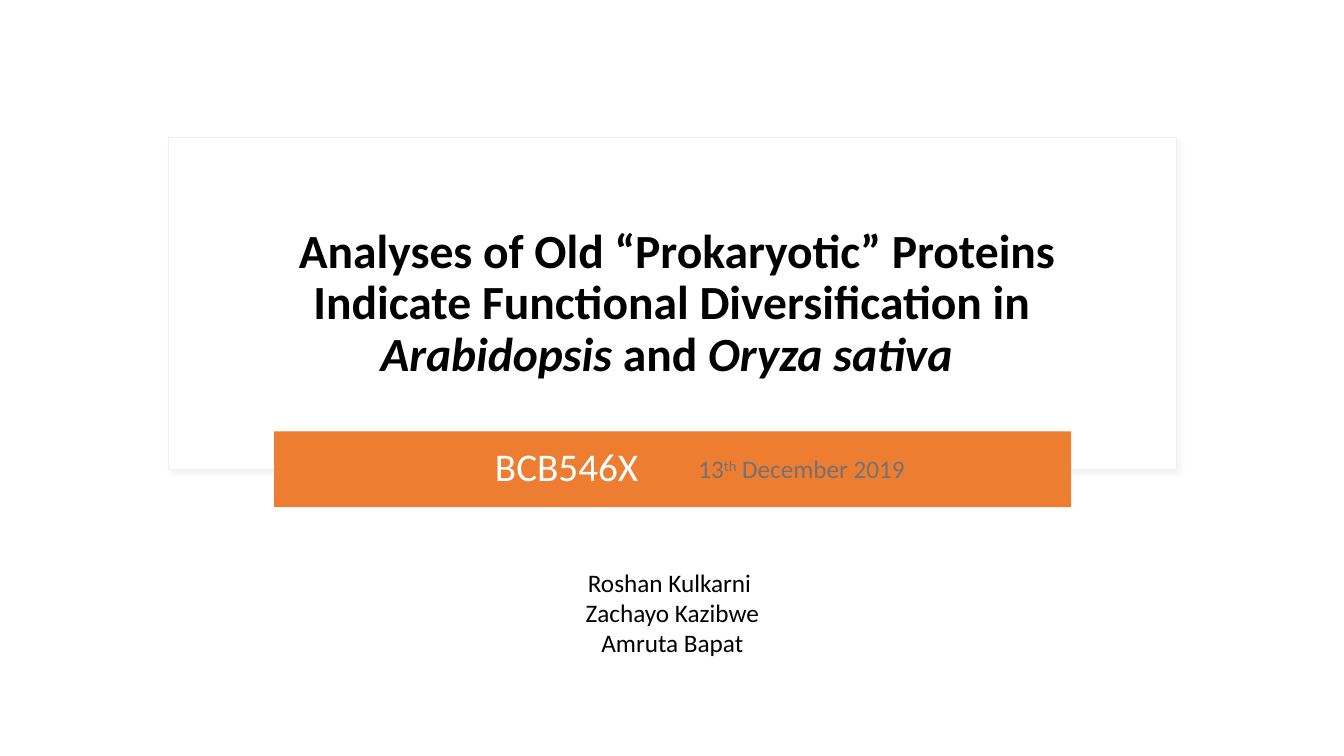
from pptx import Presentation
from pptx.dml.color import RGBColor
from pptx.enum.shapes import MSO_SHAPE as SHAPE
from pptx.enum.text import MSO_ANCHOR as ANCHOR, PP_ALIGN as ALIGN
from pptx.oxml import parse_xml
from pptx.oxml.ns import nsdecls
from pptx.util import Inches, Pt

WHITE = RGBColor(0xFF, 0xFF, 0xFF)
BLACK = RGBColor(0, 0, 0)
GRAY = RGBColor(0x76, 0x71, 0x71)
EDGE = RGBColor(0xEF, 0xEF, 0xEF)
ORANGE = RGBColor(0xED, 0x7D, 0x31)

prs = Presentation()
prs.slide_width, prs.slide_height = Inches(13.33), Inches(7.5)
COL, ROW = prs.slide_width / 80, prs.slide_height / 45
s = prs.slides.add_slide(prs.slide_layouts[6])


def grid(col, row, cols, rows):
    return [int(n) for n in (col * COL, row * ROW, cols * COL, rows * ROW)]


def add_text(box, lines, size, color, align=ALIGN.LEFT, anchor=ANCHOR.TOP, spacing=1.0):
    tf = s.shapes.add_textbox(*grid(*box)).text_frame
    tf.word_wrap = True
    tf.vertical_anchor = anchor
    for i, runs in enumerate(lines):
        p = tf.paragraphs[0] if i == 0 else tf.add_paragraph()
        p.alignment = align
        p.line_spacing = spacing
        p.font.name, p.font.size = "Calibri", Pt(size)
        p.font.color.rgb = color
        for text in runs:
            p.add_run().text = text
    return tf


card = s.shapes.add_shape(SHAPE.RECTANGLE, *grid(10.03, 8.19, 60, 19.74))
card.fill.solid()
card.fill.fore_color.rgb = WHITE
card.line.color.rgb = EDGE
card.line.width = Pt(1)
card.shadow.inherit = False
card._element.spPr.find("{*}effectLst").append(parse_xml(
    f'<a:outerShdw {nsdecls("a")} blurRad="50800" dist="38100" dir="2700000" algn="tl" rotWithShape="0">'
    '<a:srgbClr val="D9D9D9"><a:alpha val="30000"/></a:srgbClr></a:outerShdw>'))

title = [" Analyses of Old “Prokaryotic” Proteins Indicate Functional Diversification in ",
         "Arabidopsis ", "and ", "Oryza sativa "]
tf = add_text((11.82, 9.48, 56.34, 14.28), [title], 34, BLACK, ALIGN.CENTER, ANCHOR.MIDDLE, 0.9)
tf.margin_top = Inches(0.55)
tf.margin_left = tf.margin_right = Inches(0.6)
p = tf.paragraphs[0]
p.font.bold = True
for r in p.runs[1::2]:
    r.font.italic = True

bar = s.shapes.add_shape(SHAPE.ROUNDED_RECTANGLE, *grid(16.32, 25.68, 47.44, 4.5))
bar.adjustments[0] = 0
bar.fill.solid()
bar.fill.fore_color.rgb = ORANGE
bar.line.fill.background()
bar.shadow.inherit = False

tf = add_text((16.86, 25.98, 46.32, 3.84), [["BCB546X"]], 28, WHITE, anchor=ANCHOR.MIDDLE, spacing=0.9)
tf.margin_left = Inches(2.1)

authors = [["Roshan Kulkarni "], ["Zachayo Kazibwe"], ["Amruta Bapat"]]
add_text((23.4, 33.45, 33.24, 6.06), authors, 18, BLACK, ALIGN.CENTER)

tf = add_text((40.98, 26.7, 14.22, 2.4), [["13", "th", " December 2019"]], 18, GRAY)
tf.paragraphs[0].runs[1]._r.get_or_add_rPr().set("baseline", "30000")

prs.save("out.pptx")
